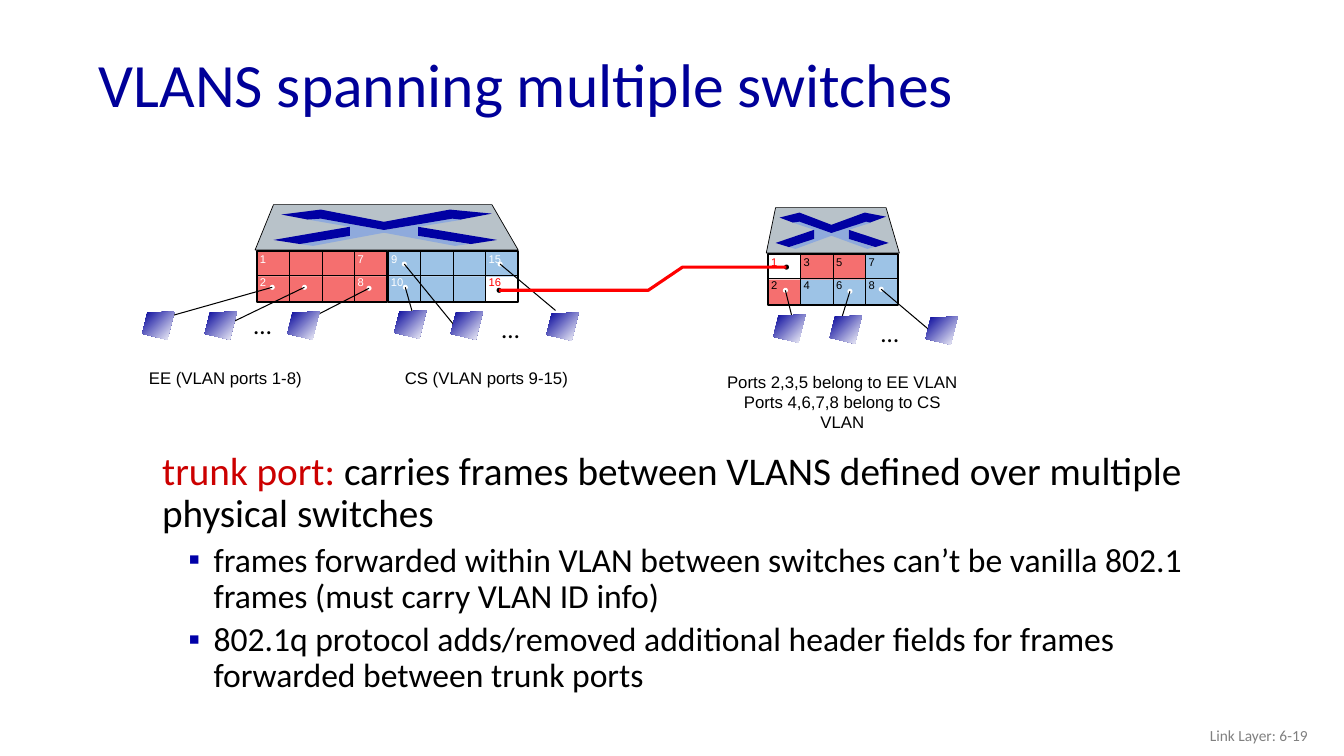
"""Build the slide on VLANs that span two switches."""
from dataclasses import dataclass

from lxml.etree import SubElement
from pptx import Presentation
from pptx.dml.color import RGBColor
from pptx.enum.shapes import MSO_CONNECTOR, MSO_SHAPE
from pptx.enum.text import MSO_ANCHOR, PP_ALIGN
from pptx.oxml.ns import qn
from pptx.util import Inches, Pt


@dataclass(frozen=True)
class Theme:
    black: str = "000000"
    white: str = "FFFFFF"
    navy: str = "000099"
    cross: str = "0000A3"
    bullet: str = "0000A8"
    cross_shade: str = "8FAADC"
    hull: str = "B8C2C9"
    ee: str = "F56F6F"
    cs: str = "9DC3E6"
    trunk: str = "FF0000"
    term: str = "CC0000"
    footer: str = "808080"
    heading_font: str = "Calibri"
    label_font: str = "Arial"
    title: int = 44
    body: int = 28
    sub: int = 24
    dots: int = 18
    caption: int = 12
    foot: int = 11
    port: int = 8


HULL = [(0, 1), (.07, 0), (.9, 0), (1, 1)]
CROSS_SHADE = [(.2, .33), (.25, .31), (.49, .56), (.75, .31), (.79, .33),
               (.62, .49), (.62, .69), (.81, .87), (.76, .91), (.49, .62),
               (.22, .91), (.17, .87), (.36, .69), (.36, .49)]
CROSS = [
    [(.74, .11), (.9, .2), (.78, .33), (.75, .31), (.49, .56),
     (.25, .31), (.2, .33), (.1, .22), (.25, .11), (.49, .38)],
    [(.62, .49), (.92, .78), (.82, .87), (.62, .69)],
    [(.36, .49), (.36, .69), (.17, .87), (.07, .78)],
]
HOST = [(1, 0), (.16, .04), (0, .79), (.78, 1)]


class Canvas:
    """Draw on a slide ruled into 75 rows of square cells."""

    def __init__(self, prs, theme):
        self.t = theme
        self.unit = prs.slide_height / 75
        self.s = prs.slides.add_slide(prs.slide_layouts[6])

    def grid(self, *cells):
        return [round(c * self.unit) for c in cells]

    def paint(self, sp, fill=None, line=None, width=0.75):
        sp.shadow.inherit = False
        if fill:
            sp.fill.solid()
            sp.fill.fore_color.rgb = RGBColor.from_string(fill)
        else:
            sp.fill.background()
        if line:
            sp.line.color.rgb = RGBColor.from_string(line)
            sp.line.width = Pt(width)
        else:
            sp.line.fill.background()

    def shape(self, kind, box, **style):
        sp = self.s.shapes.add_shape(kind, *self.grid(*box))
        self.paint(sp, **style)

    def outline(self, points, closed=True, **style):
        start, *rest = [self.grid(*point) for point in points]
        builder = self.s.shapes.build_freeform(*start, scale=1.0)
        builder.add_line_segments(rest, close=closed)
        sp = builder.convert_to_shape()
        self.paint(sp, **style)
        return sp

    def scaled(self, points, box, **style):
        x, y, w, h = box
        return self.outline([(x + px * w, y + py * h) for px, py in points], **style)

    def line(self, start, end):
        ln = self.s.shapes.add_connector(MSO_CONNECTOR.STRAIGHT, *self.grid(*start, *end))
        ln.line.color.rgb = RGBColor.from_string(self.t.black)
        ln.line.width = Pt(0.75)
        SubElement(ln._element.spPr, qn("a:effectLst"))

    def text(self, box, paragraphs, size, font, color, align=PP_ALIGN.LEFT,
             wrap=True, anchor=MSO_ANCHOR.TOP, spacing=None):
        tf = self.s.shapes.add_textbox(*self.grid(*box)).text_frame
        tf.word_wrap = wrap
        tf.vertical_anchor = anchor
        for i, content in enumerate(paragraphs):
            p = tf.paragraphs[0] if i == 0 else tf.add_paragraph()
            p.alignment = align
            p.line_spacing = spacing
            self.run(p, content, size, font, color)
        return tf

    def run(self, p, content, size, font, color):
        r = p.add_run()
        r.text = content
        r.font.size = Pt(size)
        r.font.name = font
        r.font.color.rgb = RGBColor.from_string(color)

    def bullet(self, tf, content):
        p = tf.add_paragraph()
        p.level = 1
        p.line_spacing = 0.9
        p.space_before = Pt(5)
        pr = p._p.get_or_add_pPr()
        pr.set("marL", str(Inches(0.51)))
        pr.set("indent", str(Inches(-0.25)))
        clr = SubElement(pr, qn("a:buClr"))
        SubElement(clr, qn("a:srgbClr"), val=self.t.bullet)
        SubElement(pr, qn("a:buFont"), typeface=self.t.label_font)
        SubElement(pr, qn("a:buChar"), char="▪")
        self.run(p, content, self.t.sub, self.t.heading_font, self.t.black)

    def dot(self, center, color):
        x, y = center
        self.shape(MSO_SHAPE.OVAL, (x - .25, y - .25, .5, .5), fill=color)

    def switch_top(self, x, y, w):
        box = (x, y, w, 4.5)
        self.scaled(HULL, box, fill=self.t.hull, line=self.t.black, width=0.5)
        self.scaled(CROSS_SHADE, box, fill=self.t.cross_shade)
        for arm in CROSS:
            self.scaled(arm, box, fill=self.t.cross)

    def ports(self, x, y, fills, labels):
        w, h = 12.9, 5.1
        for i, fill in enumerate(fills):
            col, row = divmod(i, 2)
            if fill:
                self.shape(MSO_SHAPE.RECTANGLE,
                           (x + col * w / 4, y + row * h / 2, w / 4, h / 2), fill=fill)
        self.shape(MSO_SHAPE.RECTANGLE, (x, y, w, h), line=self.t.black, width=1.5)
        self.line((x, y + 2.4), (x + w, y + 2.4))
        for col in range(1, 4):
            self.line((x + col * w / 4, y), (x + col * w / 4, y + h))
        for i, (name, color) in labels.items():
            col, row = divmod(i, 2)
            self.text((x - .7 + col * w / 4, y - .4 + row * 2.3, 2 + .65 * len(name), 2.3),
                      [name], self.t.port, self.t.label_font, color, wrap=False)

    def host(self, port, end, x, y):
        self.dot(port, self.t.white)
        self.line(port, end)
        sp = self.scaled(HOST, (x, y, 3.2, 2.8))
        sp.fill.gradient()
        sp.fill.gradient_angle = 315
        for stop, (at, color) in zip(sp.fill.gradient_stops, [(0, self.t.navy), (1, self.t.white)]):
            stop.position = at
            stop.color.rgb = RGBColor.from_string(color)


def main():
    prs = Presentation()
    prs.slide_width, prs.slide_height = Inches(13.33), Inches(7.5)
    t = Theme()
    c = Canvas(prs, t)

    c.text((8.8, 3.8, 115, 9.8), ["VLANS spanning multiple switches"], t.title,
           t.heading_font, t.navy, anchor=MSO_ANCHOR.MIDDLE, spacing=0.9)
    c.text((100.7, 71, 30, 4), ["Link Layer: 6-19"], t.foot, t.heading_font, t.footer,
           align=PP_ALIGN.RIGHT, anchor=MSO_ANCHOR.MIDDLE)

    c.ports(25.5, 24.9, [t.ee] * 8, {i: (str(i + 1), t.white) for i in (0, 1, 6, 7)})
    c.ports(38.5, 24.9, [t.cs] * 7 + [None],
            {0: ("9", t.white), 1: ("10", t.white), 6: ("15", t.white), 7: ("16", t.trunk)})
    c.ports(76.2, 25.2, [None, t.ee, t.ee, t.cs, t.ee, t.cs, t.cs, t.cs],
            {i: (str(i + 1), t.black if i else t.trunk) for i in range(8)})
    c.switch_top(25.3, 20.3, 26.1)
    c.switch_top(76, 20.6, 13.2)

    for port, end, x, y in [
        ((27, 28.5), (17.1, 31.3), 14.1, 30.9),
        ((30.2, 28.5), (21.3, 32.8), 20.3, 30.9),
        ((36.6, 28.6), (29.2, 32.4), 28.5, 30.9),
        ((40.2, 28.5), (41.3, 32.4), 39.1, 30.8),
        ((40.1, 26.2), (45.4, 32.7), 44.7, 30.9),
        ((49.6, 26.2), (55.1, 30.8), 54.2, 31),
        ((77.9, 28.8), (78.9, 32.8), 76.7, 31.2),
        ((84.3, 28.9), (83, 33.1), 82.3, 31.3),
        ((87.4, 28.7), (92.6, 33.1), 91.8, 31.4),
    ]:
        c.host(port, end, x, y)
    for x, y in [(24.2, 30.2), (48.8, 30.6), (86.4, 31)]:
        c.text((x, y, 3.8, 4), ["…"], t.dots, t.heading_font, t.black, wrap=False)

    trunk = [(49.5, 28.8), (64.3, 28.8), (67.7, 26.5), (78, 26.5)]
    c.dot((49.5, 28.8), t.black)
    c.dot((78, 26.5), t.black)
    c.outline(trunk, closed=False, line=t.trunk, width=2.25)

    for box, lines in [
        ((12.9, 36, 18.9, 3), ["EE (VLAN ports 1-8)"]),
        ((34.2, 36, 28.1, 3), ["CS (VLAN ports 9-15)"]),
        ((70.4, 36.4, 26.3, 5), ["Ports 2,3,5 belong to EE VLAN", "Ports 4,6,7,8 belong to CS VLAN"]),
    ]:
        c.text(box, lines, t.caption, t.label_font, t.black, align=PP_ALIGN.CENTER)

    tf = c.text((15.1, 44.3, 109.2, 29.4), ["trunk port: "], t.body, t.heading_font,
                t.term, spacing=0.9)
    c.run(tf.paragraphs[0], "carries frames between VLANS defined over multiple physical switches",
          t.body, t.heading_font, t.black)
    c.bullet(tf, "frames forwarded within VLAN between switches can’t be vanilla 802.1 "
                 "frames (must carry VLAN ID info)")
    c.bullet(tf, "802.1q protocol adds/removed additional header fields for frames "
                 "forwarded between trunk ports")
    prs.save("out.pptx")


if __name__ == "__main__":
    main()
